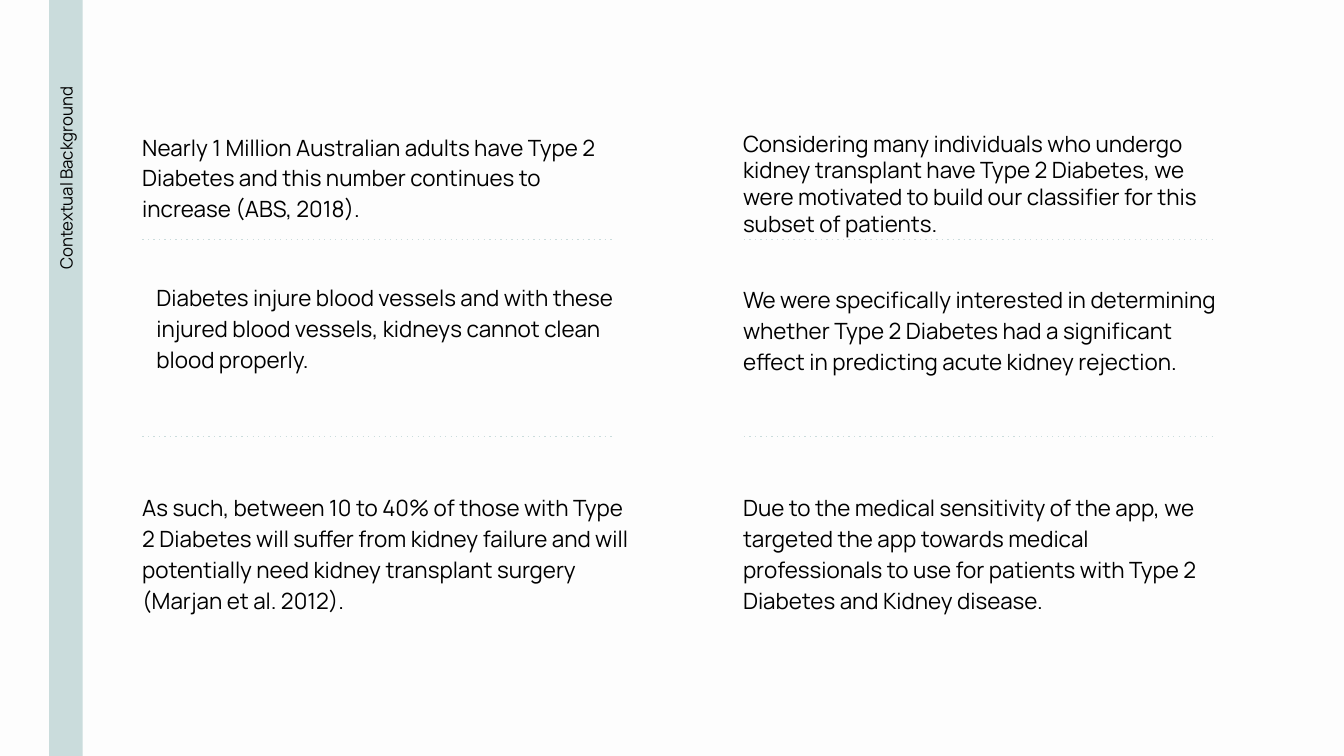
from lxml import etree
from pptx import Presentation
from pptx.dml.color import RGBColor
from pptx.enum.shapes import MSO_CONNECTOR, MSO_SHAPE
from pptx.enum.text import MSO_ANCHOR, MSO_AUTO_SIZE, PP_ALIGN
from pptx.oxml.ns import qn
from pptx.util import Pt

PX = 4572  # 200 px to the inch
RECT, STRAIGHT = MSO_SHAPE.RECTANGLE, MSO_CONNECTOR.STRAIGHT
TOP, MIDDLE = MSO_ANCHOR.TOP, MSO_ANCHOR.MIDDLE
LEFT, RIGHT = PP_ALIGN.LEFT, PP_ALIGN.RIGHT
NO_FIT = MSO_AUTO_SIZE.NONE
FONT = "Manrope"
COLORS = {"background": "FDFDFD", "accent": "CADCDC", "text": "000000"}

INSET = 20
NOTE_W, NOTE_H = 764, 328
RULE_W = 702
RULE_LEFTS = (212, 1107)
RULE_TOPS = (356, 650)

# left, top, line spacing, space after, text
NOTES = [
    (192, 173, 1.15, 0, "Nearly 1 Million Australian adults have Type 2 Diabetes "
     "and this number continues to increase (ABS, 2018)."),
    (213, 397, 1.15, 16, "Diabetes injure blood vessels and with these injured "
     "blood vessels, kidneys cannot clean blood properly."),
    (192, 710, 1.15, 16, "As such, between 10 to 40% of those with Type 2 Diabetes "
     "will suffer from kidney failure and will potentially need kidney "
     "transplant surgery (Marjan et al. 2012)."),
    (1086, 173, 1.0, 0, "Considering many individuals who undergo kidney transplant "
     "have Type 2 Diabetes, we were motivated to build our classifier for this "
     "subset of patients."),
    (1086, 400, 1.15, 16, "We were specifically interested in determining whether "
     "Type 2 Diabetes had a significant effect in predicting acute kidney "
     "rejection."),
    (1086, 710, 1.15, 16, "Due to the medical sensitivity of the app, we targeted "
     "the app towards medical professionals to use for patients with Type 2 "
     "Diabetes and Kidney disease."),
]


def px(*values):
    return [v * PX for v in values]


def color(name):
    return RGBColor.from_string(COLORS[name])


def write(sp, text, size, align=LEFT, anchor=TOP):
    tf = sp.text_frame
    tf.word_wrap = True
    tf.auto_size = NO_FIT
    tf.vertical_anchor = anchor
    tf.margin_left = tf.margin_top = tf.margin_right = tf.margin_bottom = INSET * PX
    p = tf.paragraphs[0]
    p.alignment = align
    r = p.add_run()
    r.text = text
    r.font.name = FONT
    r.font.size = Pt(size)
    r.font.color.rgb = color("text")
    return p


def add_band(s):
    sp = s.shapes.add_shape(RECT, *px(73, -10, 50, 1146))
    sp.shadow.inherit = False
    sp.fill.solid()
    sp.fill.fore_color.rgb = color("accent")
    sp.line.fill.background()
    # keep the band behind the title
    s.shapes._spTree.insert(2, sp._element)


def add_title(s, text):
    sp = s.shapes.title
    sp.left, sp.top, sp.width, sp.height = px(-373, 557, 942, 46)
    sp.rotation = 270
    write(sp, text, 9, RIGHT, MIDDLE)


def add_note(s, left, top, spacing, after, text):
    sp = s.shapes.add_textbox(*px(left, top, NOTE_W, NOTE_H))
    p = write(sp, text, 12)
    p.line_spacing = spacing
    p.space_after = Pt(after)


def add_rule(s, left, top):
    line = s.shapes.add_connector(STRAIGHT, *px(left, top, left + RULE_W, top))
    line.line.width = Pt(0.75)
    line.line.color.rgb = color("accent")
    sp_pr = line._element.spPr
    etree.SubElement(sp_pr.find(qn("a:ln")), qn("a:prstDash"), val="dot")
    etree.SubElement(sp_pr, qn("a:effectLst"))


def main():
    prs = Presentation()
    prs.slide_width, prs.slide_height = px(2000, 1125)
    s = prs.slides.add_slide(prs.slide_layouts[5])
    s.background.fill.solid()
    s.background.fill.fore_color.rgb = color("background")

    # side band with the rotated title
    add_band(s)
    add_title(s, "Contextual Background")

    # two columns of notes, parted by dotted rules
    for note in NOTES:
        add_note(s, *note)
    for left in RULE_LEFTS:
        for top in RULE_TOPS:
            add_rule(s, left, top)

    prs.save("out.pptx")


if __name__ == "__main__":
    main()
